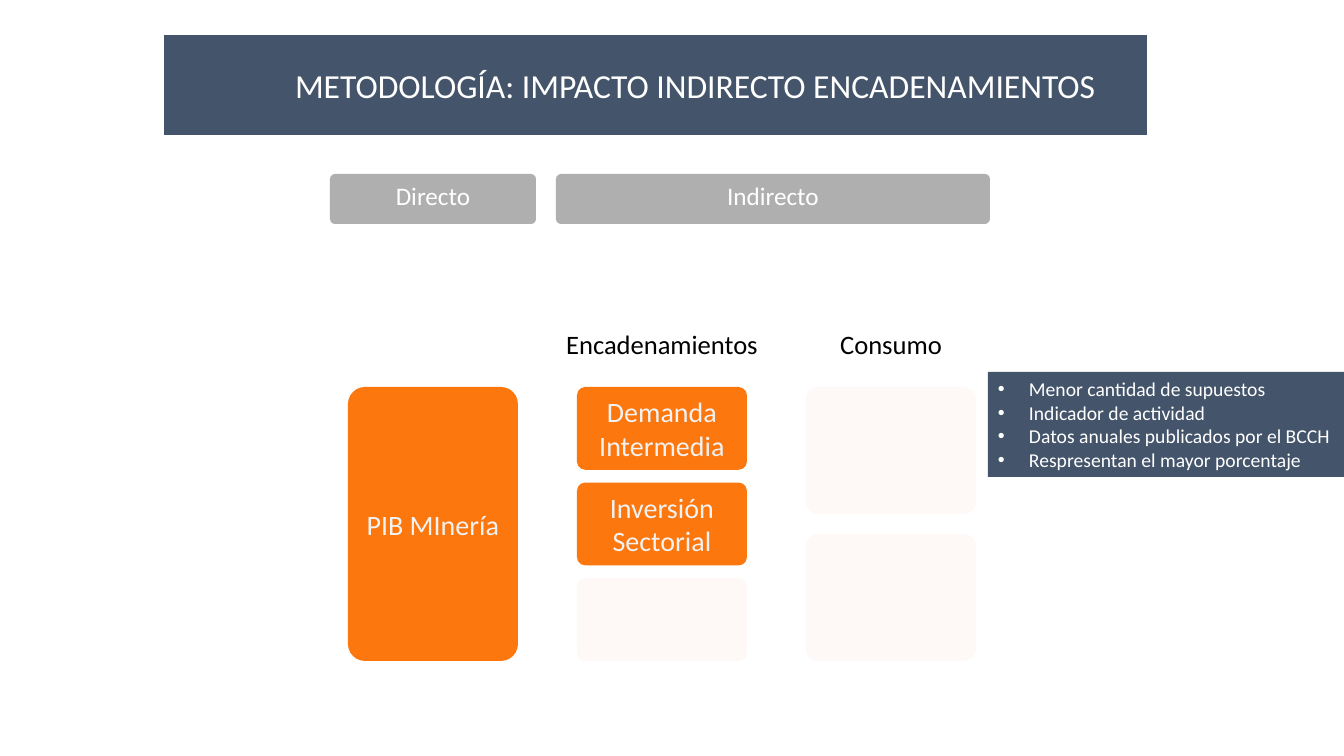
"""Build the slide on the indirect impact of mining linkages."""
from lxml.etree import SubElement
from pptx import Presentation
from pptx.dml.color import RGBColor
from pptx.enum.shapes import MSO_SHAPE
from pptx.enum.text import MSO_ANCHOR, PP_ALIGN
from pptx.oxml.ns import qn
from pptx.util import Emu, Pt

TITLE = "METODOLOGÍA: IMPACTO INDIRECTO ENCADENAMIENTOS"
BANDS = [("Directo", 330, 206), ("Indirecto", 556, 434)]
COLUMNS = [
    ("", ["PIB MInería"]),
    ("Encadenamientos", ["Demanda Intermedia", "Inversión Sectorial", ""]),
    ("Consumo", ["", ""]),
]
NOTES = ["Menor cantidad de supuestos", "Indicador de actividad",
         "Datos anuales publicados por el BCCH",
         "Respresentan el mayor porcentaje"]
COLORS = {"navy": "44546A", "gray": "AFAFAF", "orange": "FC770D",
          "pale": "ED7D31", "light": "F2F2F2", "white": "FFFFFF",
          "black": "000000"}
FONT = "Calibri"
LEFT, TOP, WIDE, HIGH, PITCH = 348, 387, 170, 274, 229
GAP = 0.155
INDENT = 31


def px(num):
    return Emu(round(num * 12192000 / 1344))


def place(shape, left, top, width, height):
    shape.left, shape.top = px(left), px(top)
    shape.width, shape.height = px(width), px(height)


def paint(shape, color):
    shape.fill.solid()
    shape.fill.fore_color.rgb = RGBColor.from_string(COLORS[color])


def write(shape, lines, size, color, align=PP_ALIGN.CENTER,
          anchor=MSO_ANCHOR.MIDDLE, side=10):
    frame = shape.text_frame
    frame.word_wrap = True
    frame.vertical_anchor = anchor
    frame.margin_left = frame.margin_right = px(side)
    frame.margin_top = frame.margin_bottom = px(5)
    frame.text = "\n".join(lines)
    for para in frame.paragraphs:
        para.alignment = align
        para.font.name = FONT
        para.font.size = Pt(size)
        para.font.color.rgb = RGBColor.from_string(COLORS[color])
    return frame


def add_box(slide, kind, area, color):
    box = slide.shapes.add_shape(kind, *map(px, area))
    box.shadow.inherit = False
    box.line.fill.background()
    paint(box, color)
    if kind == MSO_SHAPE.ROUNDED_RECTANGLE:
        box.adjustments[0] = 0.1
    return box


def fade(shape, percent):
    tint = shape.fill._xPr.find(qn("a:solidFill"))[0]
    SubElement(tint, qn("a:alpha"), val=str(percent * 1000))


def add_title(slide):
    title = slide.shapes.title
    place(title, 164, 35, 983, 100)
    paint(title, "navy")
    frame = write(title, [TITLE], 24, "white", PP_ALIGN.LEFT)
    frame.margin_left, frame.margin_right = px(131), px(30)


def add_column(slide, rank, head, cells):
    left = LEFT + rank * PITCH
    if head:
        label = slide.shapes.add_textbox(
            *map(px, (left - 22, 321, WIDE + 44, 46)))
        write(label, [head], 19, "black", side=8)
    count = len(cells)
    height = HIGH / (count + GAP * (count - 1))
    for row, text in enumerate(cells):
        top = TOP + row * height * (1 + GAP)
        box = add_box(slide, MSO_SHAPE.ROUNDED_RECTANGLE,
                      (left, top, WIDE, height),
                      "orange" if text else "pale")
        if text:
            write(box, [text], 20, "light", side=9)
        else:
            fade(box, 4)


def add_notes(slide):
    box = add_box(slide, MSO_SHAPE.RECTANGLE, (988, 372, 356, 105), "navy")
    frame = write(box, NOTES, 14, "white", PP_ALIGN.LEFT, MSO_ANCHOR.TOP)
    frame.word_wrap = False
    for para in frame.paragraphs:
        props = para._p.get_or_add_pPr()
        props.set("marL", str(px(INDENT)))
        props.set("indent", str(px(-INDENT)))
        for tag, key, val in (("a:buFont", "typeface", "Arial"),
                              ("a:buChar", "char", "•")):
            part = props.makeelement(qn(tag), {key: val})
            props.insert_element_before(part, "a:tabLst", "a:defRPr",
                                        "a:extLst")


def main():
    deck = Presentation()
    deck.slide_width, deck.slide_height = px(1344), px(756)
    slide = deck.slides.add_slide(deck.slide_layouts[5])
    add_title(slide)
    for text, left, width in BANDS:
        band = add_box(slide, MSO_SHAPE.ROUNDED_RECTANGLE,
                       (left, 174, width, 50), "gray")
        write(band, [text], 18, "white", anchor=MSO_ANCHOR.TOP)
    for rank, (head, cells) in enumerate(COLUMNS):
        add_column(slide, rank, head, cells)
    add_notes(slide)
    deck.save("out.pptx")


if __name__ == "__main__":
    main()
